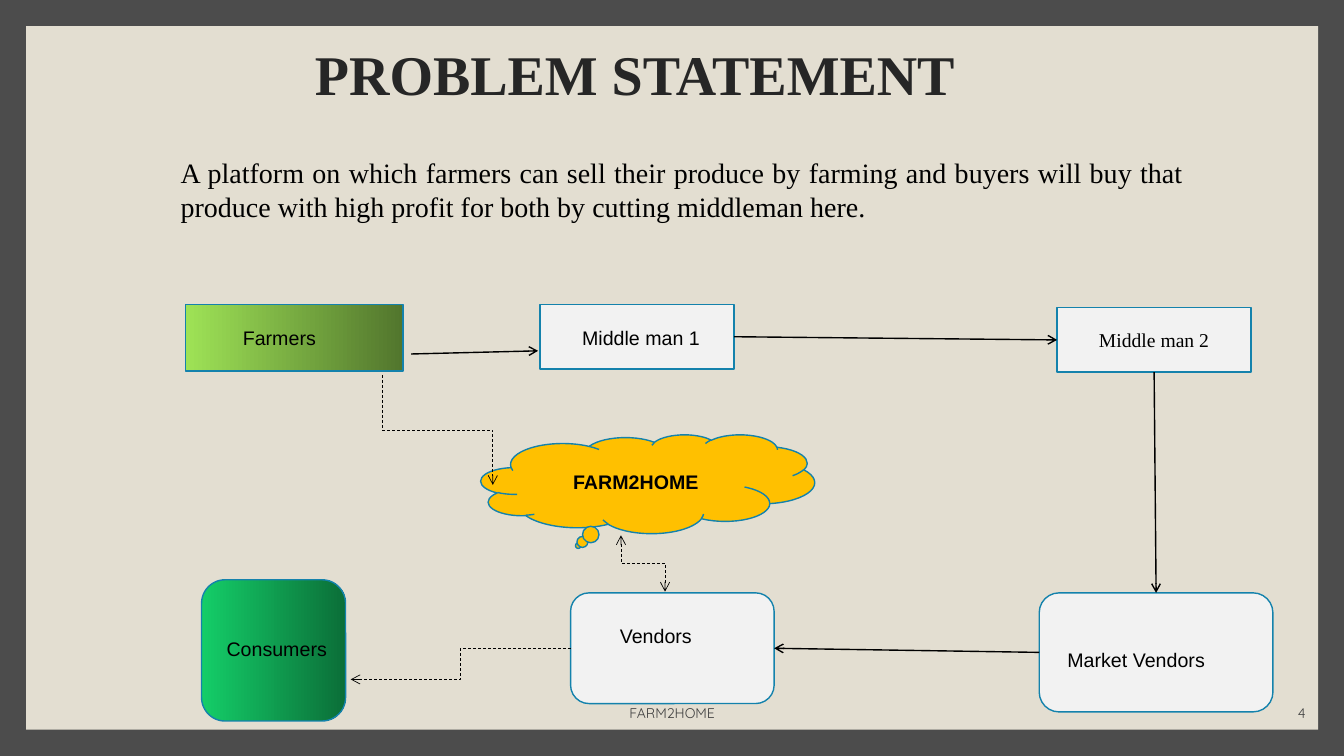
import pptx
import pptx.util
import pptx.dml.color
import pptx.enum.dml
import pptx.enum.shapes
import pptx.enum.text
import pptx.oxml
import pptx.oxml.ns

Cm = pptx.util.Cm
Pt = pptx.util.Pt
RGBColor = pptx.dml.color.RGBColor
SHAPE = pptx.enum.shapes.MSO_SHAPE
CONNECTOR = pptx.enum.shapes.MSO_CONNECTOR
ALIGN = pptx.enum.text.PP_ALIGN
ANCHOR = pptx.enum.text.MSO_ANCHOR

FRAME = RGBColor(0x4C, 0x4C, 0x4C)
PAPER = RGBColor(0xE3, 0xDE, 0xD1)
TITLE = RGBColor(0x26, 0x26, 0x26)
FOOTER = RGBColor(0x40, 0x40, 0x40)
BLACK = RGBColor(0, 0, 0)
OUTLINE = RGBColor(0x14, 0x82, 0xAC)
PALE = RGBColor(0xF2, 0xF2, 0xF2)
AMBER = RGBColor(0xFF, 0xC0, 0x00)
LIME = (RGBColor(0x9E, 0xE2, 0x56), RGBColor(0x52, 0x76, 0x2D))
GREEN = (RGBColor(0x14, 0xCD, 0x68), RGBColor(0x0B, 0x6E, 0x38))

SERIF = "Times New Roman"
SANS = "Arial"


def write(shape, text, size, font, color=BLACK, align=ALIGN.LEFT, anchor=ANCHOR.TOP, bold=False):
    frame = shape.text_frame
    frame.word_wrap = True
    frame.vertical_anchor = anchor
    frame.text = text
    para = frame.paragraphs[0]
    para.alignment = align
    for span in para.runs:
        span.font.size = Pt(size)
        span.font.name = font
        span.font.color.rgb = color
        span.font.bold = bold


def add_text(page, box, *content, **style):
    write(page.shapes.add_textbox(*map(Cm, box)), *content, **style)


def add_block(page, box, kind, fill):
    shape = page.shapes.add_shape(kind, *map(Cm, box))
    shape.shadow.inherit = False
    if isinstance(fill, RGBColor):
        shape.fill.solid()
        shape.fill.fore_color.rgb = fill
    else:
        shape.fill.gradient()
        shape.fill.gradient_angle = 0
        for stop, color in zip(shape.fill.gradient_stops, fill):
            stop.color.rgb = color
    shape.line.color.rgb = OUTLINE
    shape.line.width = Pt(1)
    return shape


def add_arrow(page, start, end, kind=CONNECTOR.STRAIGHT, upright=False, both=False):
    (x1, y1), (x2, y2) = start, end
    if upright:
        middle_x, middle_y = (x1 + x2) / 2, (y1 + y2) / 2
        half_run, half_rise = (y2 - y1) / 2, (x2 - x1) / 2
        x1, x2 = middle_x - half_run, middle_x + half_run
        y1, y2 = middle_y + half_rise, middle_y - half_rise
    arrow = page.shapes.add_connector(kind, Cm(x1), Cm(y1), Cm(x2), Cm(y2))
    properties = arrow._element.spPr
    if upright:
        properties.find(pptx.oxml.ns.qn("a:xfrm")).set("rot", "5400000")
    arrow.line.color.rgb = BLACK
    arrow.line.width = Pt(1)
    if kind == CONNECTOR.ELBOW:
        arrow.line.width = Pt(0.5)
        arrow.line.dash_style = pptx.enum.dml.MSO_LINE.DASH
    outline = arrow.line._get_or_add_ln()
    for tag in ("headEnd", "tailEnd") if both else ("tailEnd",):
        tip = pptx.oxml.parse_xml(f'<a:{tag} {pptx.oxml.ns.nsdecls("a")} type="arrow"/>')
        outline.append(tip)
    properties.append(pptx.oxml.parse_xml(f'<a:effectLst {pptx.oxml.ns.nsdecls("a")}/>'))


def add_backdrop(page, box):
    page.background.fill.solid()
    page.background.fill.fore_color.rgb = FRAME
    paper = add_block(page, box, SHAPE.RECTANGLE, PAPER)
    paper.line.fill.background()


def add_heading(page, box):
    left, top, width, height = box
    add_text(page, (left, top, 23.4, 2.2), "PROBLEM STATEMENT", 40, SERIF, TITLE,
             align=ALIGN.CENTER, anchor=ANCHOR.MIDDLE, bold=True)
    add_text(page, (left, top + 3.05, width, height - 3.05),
             "A platform on which farmers can sell their produce by farming and buyers "
             "will buy that produce with high profit for both by cutting middleman here.",
             20, SERIF, align=ALIGN.JUSTIFY)


def add_flow(page, box):
    left, top = box[:2]

    def place(x, y):
        return left + x, top + y

    plain, rounded = SHAPE.RECTANGLE, SHAPE.ROUNDED_RECTANGLE
    farmers = (*place(0, 0), 5.48, 1.68)
    first = (*place(8.93, 0), 4.89, 1.63)
    second = (*place(21.96, 0.08), 4.89, 1.63)
    market = (*place(21.51, 7.27), 5.89, 3)
    vendors = (*place(9.7, 7.27), 5.13, 2.79)
    consumers = (*place(0.4, 6.94), 3.63, 3.56)

    labelled = (
        (farmers, plain, LIME, "Farmers", 1.19, 0.43),
        (first, plain, PALE, "Middle man 1", 0.81, 0.43),
        (market, rounded, PALE, "Market Vendors", 0.46, 1.27),
        (vendors, rounded, PALE, "Vendors", 0.99, 0.65),
        (consumers, rounded, GREEN, "Consumers", 0.38, 1.32),
    )
    for block, kind, fill, label, inset, drop in labelled:
        add_block(page, block, kind, fill)
        x, y, width, _ = block
        add_text(page, (x + inset, y + drop, width - inset, 0.86), label, 14, SANS)

    centred = {"align": ALIGN.CENTER, "anchor": ANCHOR.MIDDLE}
    write(add_block(page, second, plain, PALE), "Middle man 2", 14, SERIF, **centred)
    cloud = add_block(page, (*place(7.44, 3.28), 8.41, 2.49), SHAPE.CLOUD_CALLOUT, AMBER)
    write(cloud, "FARM2HOME", 14, SANS, bold=True, **centred)

    def edge(block, across, down):
        x, y, width, height = block
        return x + across * width, y + down * height

    add_arrow(page, place(5.68, 1.25), place(8.88, 1.17))
    add_arrow(page, edge(first, 1, 0.5), edge(second, 0, 0.5))
    add_arrow(page, edge(second, 0.5, 1), edge(market, 0.5, 0))
    add_arrow(page, edge(market, 0, 0.5), edge(vendors, 1, 0.5))

    elbow = CONNECTOR.ELBOW
    add_arrow(page, place(4.95, 1.78), place(7.74, 4.55), elbow, upright=True)
    add_arrow(page, place(10.97, 5.82), place(12.08, 7.24), elbow, upright=True, both=True)
    add_arrow(page, edge(vendors, 0, 0.5), place(4.16, 9.45), elbow)


def add_footer(page, box):
    left, top, width, height = box
    style = {"size": 10, "font": "Quicksand", "color": FOOTER, "anchor": ANCHOR.BOTTOM}
    add_text(page, (left, top, 14.48, height), "FARM2HOME", align=ALIGN.CENTER, **style)
    add_text(page, (left + width - 4.06, top, 4.06, height), "4", align=ALIGN.RIGHT, **style)


def main():
    deck = pptx.Presentation()
    deck.slide_width = Cm(33.87)
    deck.slide_height = Cm(19.05)
    page = deck.slides.add_slide(deck.slide_layouts[6])
    add_backdrop(page, (0.66, 0.66, 32.56, 17.73))
    add_heading(page, (4.3, 0.75, 25.77, 5.5))
    add_flow(page, (4.68, 7.67, 27.4, 10.5))
    add_footer(page, (9.7, 17.53, 23.45, 0.76))
    deck.save("out.pptx")


if __name__ == "__main__":
    main()
